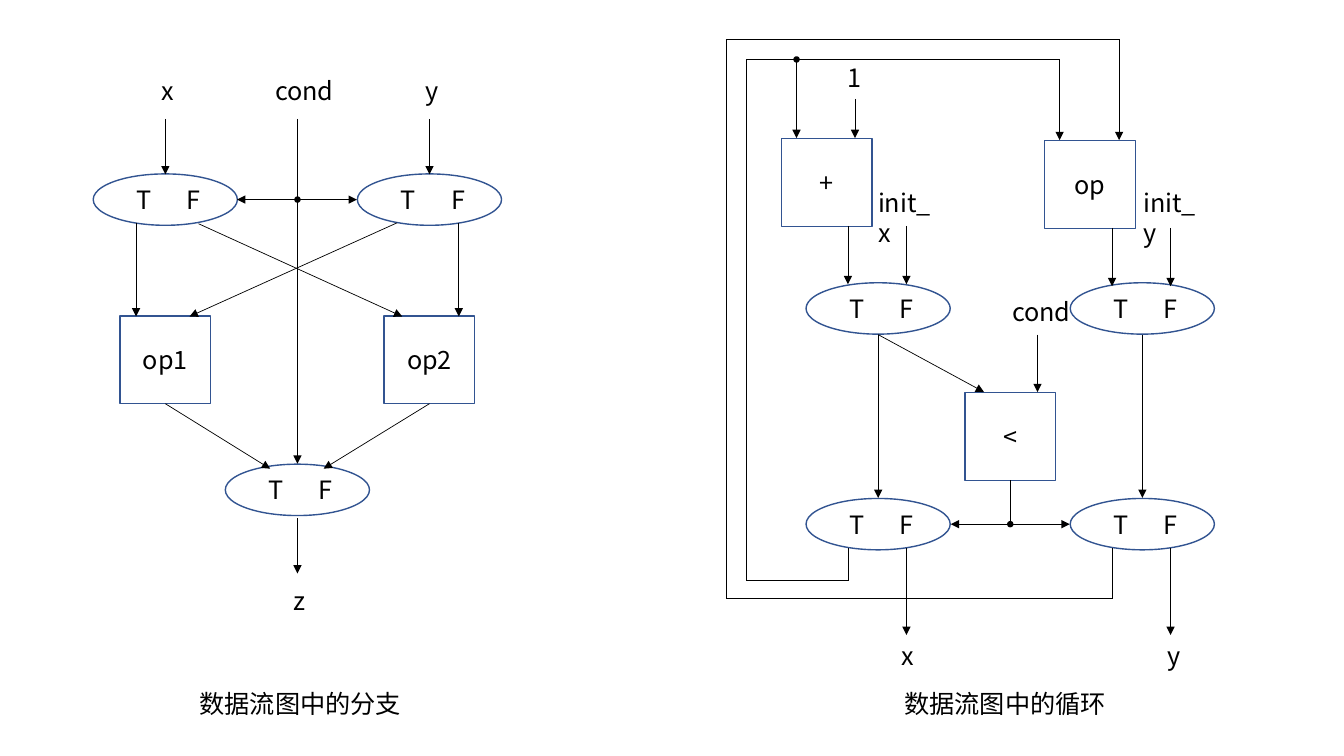
from itertools import pairwise

from lxml import etree
from pptx import Presentation
from pptx.dml.color import RGBColor
from pptx.enum.shapes import MSO_CONNECTOR, MSO_SHAPE
from pptx.enum.text import MSO_ANCHOR, MSO_AUTO_SIZE, PP_ALIGN
from pptx.oxml.ns import qn
from pptx.util import Inches, Pt

STRAIGHT = MSO_CONNECTOR.STRAIGHT
OVAL, RECT = MSO_SHAPE.OVAL, MSO_SHAPE.RECTANGLE
LEFT, CENTER, MIDDLE = PP_ALIGN.LEFT, PP_ALIGN.CENTER, MSO_ANCHOR.MIDDLE
GROW = MSO_AUTO_SIZE.SHAPE_TO_FIT_TEXT

FONT = "Noto Sans CJK SC"
COLORS = {"ink": "000000", "paper": "FFFFFF", "outline": "325491"}

# Column centres: branch graph, then loop graph
BX, BCOND, BY = 1.64, 2.95, 4.26
LX, LY = 8.71, 11.33
LCOND = 10.02
PITCH = LY - LX

GATE_SIZE, OP_SIZE, DOT_SIZE = (1.43, 0.51), (0.9, 0.87), (0.05, 0.05)
GATE_TAB = 0.43

# Centres of the T/F gates
GATES = [(BX, 1.98), (BY, 1.98), (BCOND, 4.86),
         (LX, 3.06), (LY, 3.06), (LX, 5.2), (LY, 5.2)]

# Text, centre
OPS = [("op1", BX, 3.57), ("op2", BY, 3.57),
       ("+", 8.2, 1.81), ("op", 10.81, 1.83), ("<", LCOND, 4.33)]

DOTS = [(BCOND, 1.98), (LCOND, 5.2), (7.9, 0.59)]

# Text, left, top, width
LABELS = [("x", 1.5, 0.7, 0.27), ("cond", 2.63, 0.7, 0.85), ("y", 4.12, 0.7, 0.27),
          ("z", 2.81, 5.76, 0.27), ("1", 8.31, 0.57, 0.27),
          ("init_x", 8.61, 1.81, 0.81), ("init_y", 11.24, 1.81, 0.81),
          ("cond", 9.94, 2.89, 0.85),
          ("x", 8.84, 6.3, 0.27), ("y", 11.48, 6.3, 0.27),
          ("数据流图中的分支", 1.88, 6.78, 2.3), ("数据流图中的循环", 8.87, 6.78, 2.3)]

# Routes whose last segment ends in an arrowhead
ARROWS = [
    [(BX, 1.18), (BX, 1.73)], [(BY, 1.18), (BY, 1.73)],
    [(1.35, 2.21), (1.35, 3.14)], [(4.55, 2.21), (4.55, 3.14)],
    [(3.94, 2.21), (1.88, 3.14)], [(1.97, 2.22), (3.99, 3.14)],
    [(BCOND, 1.18), (BCOND, 4.6)], [(BCOND, 5.14), (BCOND, 5.69)],
    [(LX, 3.32), (9.76, 3.89)], [(10.29, 3.32), (10.29, 3.89)],
    [(7.9, 0.59), (7.9, 1.37)], [(8.48, 0.98), (8.48, 1.37)],
    [(8.41, 5.44), (8.41, 5.76), (7.4, 5.76), (7.4, 0.59), (10.51, 0.59), (10.51, 1.39)],
    [(11.03, 5.44), (11.03, 5.94), (7.2, 5.94), (7.2, 0.39), (11.1, 0.39), (11.1, 1.39)],
]
for shift, op_bottom in [(0, 2.24), (PITCH, 2.26)]:
    for x in (8.41 + shift, 8.99 + shift):
        ARROWS.append([(x, op_bottom), (x, op_bottom + 0.58)])
    ARROWS += [[(LX + shift, 3.32), (LX + shift, 4.94)],
               [(8.99 + shift, 5.44), (8.99 + shift, 6.3)]]

# Two-headed condition lines between gates
CONDITIONS = [[(2.35, 1.98), (3.54, 1.98)], [(9.43, 5.2), (10.61, 5.2)]]

# Lines leaving the middle of an operation's bottom side
OUTPUTS = [("op1", (2.68, 4.65), True), ("op2", (3.21, 4.65), True),
           ("<", (LCOND, 5.2), False)]


def color(name):
    return RGBColor.from_string(COLORS[name])


def write(tf, text, align):
    tf.text = text
    p = tf.paragraphs[0]
    p.alignment = align
    for r in p.runs:
        r.font.size, r.font.name = Pt(18), FONT
        r.font.color.rgb = color("ink")
        ea = etree.SubElement(r.font._element, qn("a:ea"))
        ea.set("typeface", FONT)


def add_node(kind, center, size, fill="paper", line="outline"):
    (x, y), (w, h) = center, size
    s = slide.shapes.add_shape(kind, Inches(x - w / 2), Inches(y - h / 2), Inches(w), Inches(h))
    s.shadow.inherit = False
    s.fill.solid()
    s.fill.fore_color.rgb = color(fill)
    s.line.color.rgb = color(line)
    s.line.width = Pt(1)
    return s


def add_gate(center):
    """Oval whose T and F are set apart by a tab stop."""
    tf = add_node(OVAL, center, GATE_SIZE).text_frame
    tf.vertical_anchor = MIDDLE
    tf.margin_left, tf.margin_right = Inches(0.22), 0
    tabs = etree.SubElement(tf.paragraphs[0]._p.get_or_add_pPr(), qn("a:tabLst"))
    etree.SubElement(tabs, qn("a:tab"), pos=str(Inches(GATE_TAB)), algn="l")
    write(tf, "T\tF", LEFT)


def add_op(text, center):
    s = add_node(RECT, center, OP_SIZE)
    s.text_frame.vertical_anchor = MIDDLE
    write(s.text_frame, text, CENTER)
    return s


def add_line(start, end, head=False, tail=False):
    c = slide.shapes.add_connector(STRAIGHT, *(Inches(v) for v in (*start, *end)))
    c.line.color.rgb = color("ink")
    c.line.width = Pt(0.5)
    ln = c.line._get_or_add_ln()
    for tag, shown in (("a:headEnd", head), ("a:tailEnd", tail)):
        if shown:
            etree.SubElement(ln, qn(tag), type="triangle")
    etree.SubElement(c._element.spPr, qn("a:effectLst"))
    return c


prs = Presentation()
prs.slide_width, prs.slide_height = Inches(13.33), Inches(7.5)
slide = prs.slides.add_slide(prs.slide_layouts[6])

for center in GATES:
    add_gate(center)
ops = {text: add_op(text, (x, y)) for text, x, y in OPS}

for route in ARROWS:
    for start, end in pairwise(route):
        add_line(start, end, tail=end == route[-1])
for start, end in CONDITIONS:
    add_line(start, end, head=True, tail=True)
centers = {text: (x, y) for text, x, y in OPS}
for name, end, tail in OUTPUTS:
    add_line(centers[name], end, tail=tail).begin_connect(ops[name], 2)

for center in DOTS:
    add_node(OVAL, center, DOT_SIZE, "ink", "ink")

for text, x, y, w in LABELS:
    tf = slide.shapes.add_textbox(Inches(x), Inches(y), Inches(w), Inches(0.4)).text_frame
    tf.word_wrap = True
    tf.auto_size = GROW
    write(tf, text, LEFT)

prs.save("out.pptx")
